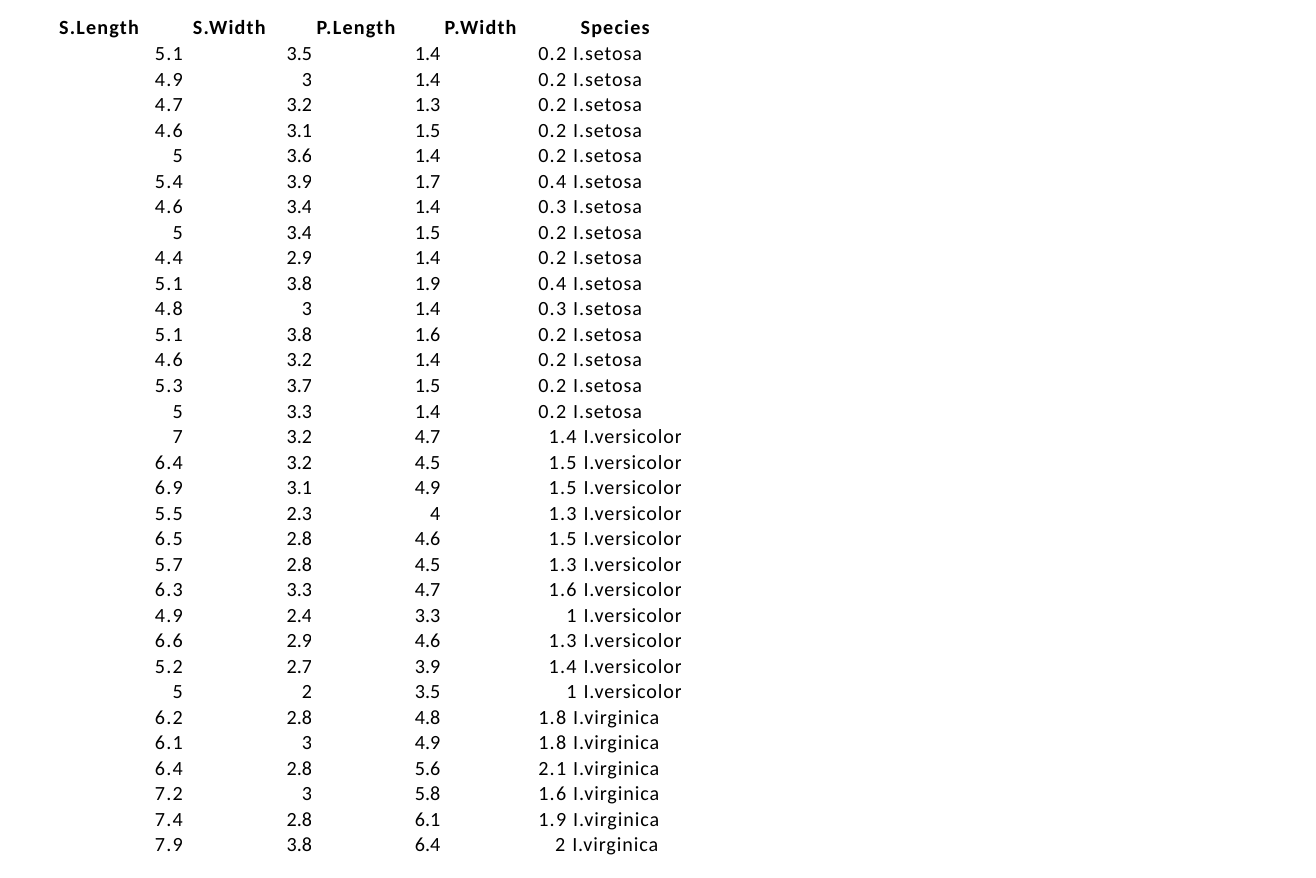
from lxml import etree
from pptx import Presentation
from pptx.dml.color import RGBColor
from pptx.enum.text import PP_ALIGN
from pptx.oxml.ns import qn
from pptx.util import Pt

LEFT, RIGHT = PP_ALIGN.LEFT, PP_ALIGN.RIGHT
BLACK = RGBColor(0x00, 0x00, 0x00)
FONT = "Calibri"
FONT_SIZE = Pt(13)
COLUMN_WIDTHS = [59.8, 81.4, 24.5, 82.8, 156.2]
ROW_HEIGHT = 16.5
HEADER_LEADING, BODY_LEADING, LAST_LEADING = 15.2, 15.4, 15.3
SPECIES_TAB = 87.8
WIDE, MEDIUM, TIGHT = 0.8, 0.6, -0.1  # letter spacing

# column: (text, left indent)
HEADERS = {
    0: ("S.Length", 2.2),
    1: ("S.Width", 28.8),
    3: ("P.Length", 2.9),
    4: ("P.Width\tSpecies", 2.9),
}

# sepal length, sepal width, petal length, petal width
MEASUREMENTS = {
    "I.setosa": [
        "5.1 3.5 1.4 0.2", "4.9 3 1.4 0.2", "4.7 3.2 1.3 0.2",
        "4.6 3.1 1.5 0.2", "5 3.6 1.4 0.2", "5.4 3.9 1.7 0.4",
        "4.6 3.4 1.4 0.3", "5 3.4 1.5 0.2", "4.4 2.9 1.4 0.2",
        "5.1 3.8 1.9 0.4", "4.8 3 1.4 0.3", "5.1 3.8 1.6 0.2",
        "4.6 3.2 1.4 0.2", "5.3 3.7 1.5 0.2", "5 3.3 1.4 0.2",
    ],
    "I.versicolor": [
        "7 3.2 4.7 1.4", "6.4 3.2 4.5 1.5", "6.9 3.1 4.9 1.5",
        "5.5 2.3 4 1.3", "6.5 2.8 4.6 1.5", "5.7 2.8 4.5 1.3",
        "6.3 3.3 4.7 1.6", "4.9 2.4 3.3 1", "6.6 2.9 4.6 1.3",
        "5.2 2.7 3.9 1.4", "5 2 3.5 1",
    ],
    "I.virginica": [
        "6.2 2.8 4.8 1.8", "6.1 3 4.9 1.8", "6.4 2.8 5.6 2.1",
        "7.2 3 5.8 1.6", "7.4 2.8 6.1 1.9", "7.9 3.8 6.4 2",
    ],
}


def add_table(slide, row_count):
    """Add a plain table whose empty cells do not stretch the rows."""
    width, height = sum(COLUMN_WIDTHS), ROW_HEIGHT * row_count
    frame = slide.shapes.add_table(row_count, len(COLUMN_WIDTHS),
                                   Pt(36), Pt(10.8), Pt(width), Pt(height))
    table = frame.table
    table.first_row = table.horz_banding = False
    for column, column_width in zip(table.columns, COLUMN_WIDTHS):
        column.width = Pt(column_width)
    for row in table.rows:
        row.height = Pt(ROW_HEIGHT)
    for cell in table.iter_cells():
        cell.fill.background()
        cell.margin_left = cell.margin_right = 0
        cell.margin_top = cell.margin_bottom = 0
        p = cell.text_frame.paragraphs[0]
        p.font.name, p.font.size = FONT, FONT_SIZE
        p.font.color.rgb = BLACK
        end = etree.SubElement(p._p, qn("a:endParaRPr"))
        end.set("sz", str(FONT_SIZE.centipoints))
    return table


def write_cell(cell, runs, leading, indent=0, align=LEFT, bold=False):
    """Fill a cell with (text, letter spacing) runs."""
    p = cell.text_frame.paragraphs[0]
    p.alignment = align
    p.line_spacing = Pt(leading)
    p.font.bold = bold
    p._p.get_or_add_pPr().set("marL", str(Pt(indent)))
    for text, spacing in runs:
        r = p.add_run()
        r.text = text
        r.font._element.set("spc", str(round(spacing * 100)))


def add_tab_stop(cell, position):
    p_pr = cell.text_frame.paragraphs[0]._p.get_or_add_pPr()
    tabs = etree.Element(qn("a:tabLst"))
    etree.SubElement(tabs, qn("a:tab"), pos=str(Pt(position)), algn="l")
    p_pr.find(qn("a:defRPr")).addprevious(tabs)


def number_runs(number):
    """Tighten the first digit of a decimal number."""
    if "." not in number:
        return [(number, 0)]
    return [(number[0], TIGHT), (number[1:], 0)]


def write_measurement(table, row, species, numbers, leading):
    s_length, s_width, p_length, p_width = numbers
    if "." in s_length:
        write_cell(table.cell(row, 1), [(s_length, WIDE)], leading, 4.3)
    else:
        write_cell(table.cell(row, 1), [(s_length, 0)], leading, 15.8)
    for column, number in ((2, s_width), (3, p_length)):
        write_cell(table.cell(row, column), number_runs(number), leading,
                   align=RIGHT)
    runs = [(p_width + " ", WIDE), (species, MEDIUM)]
    if species == "I.versicolor":
        write_cell(table.cell(row, 4), runs, leading, align=RIGHT)
    else:
        indent = 63.4 if "." in p_width else 74.2
        write_cell(table.cell(row, 4), runs, leading, indent)


def main():
    prs = Presentation()
    prs.slide_width, prs.slide_height = Pt(850.3), Pt(567.4)
    slide = prs.slides.add_slide(prs.slide_layouts[6])

    samples = [(species, line.split())
               for species, lines in MEASUREMENTS.items() for line in lines]
    table = add_table(slide, len(samples) + 1)
    for column, (text, indent) in HEADERS.items():
        write_cell(table.cell(0, column), [(text, WIDE)], HEADER_LEADING,
                   indent, bold=True)
    add_tab_stop(table.cell(0, 4), SPECIES_TAB)
    for row, (species, numbers) in enumerate(samples, start=1):
        leading = LAST_LEADING if row == len(samples) else BODY_LEADING
        write_measurement(table, row, species, numbers, leading)

    prs.save("out.pptx")


if __name__ == "__main__":
    main()
